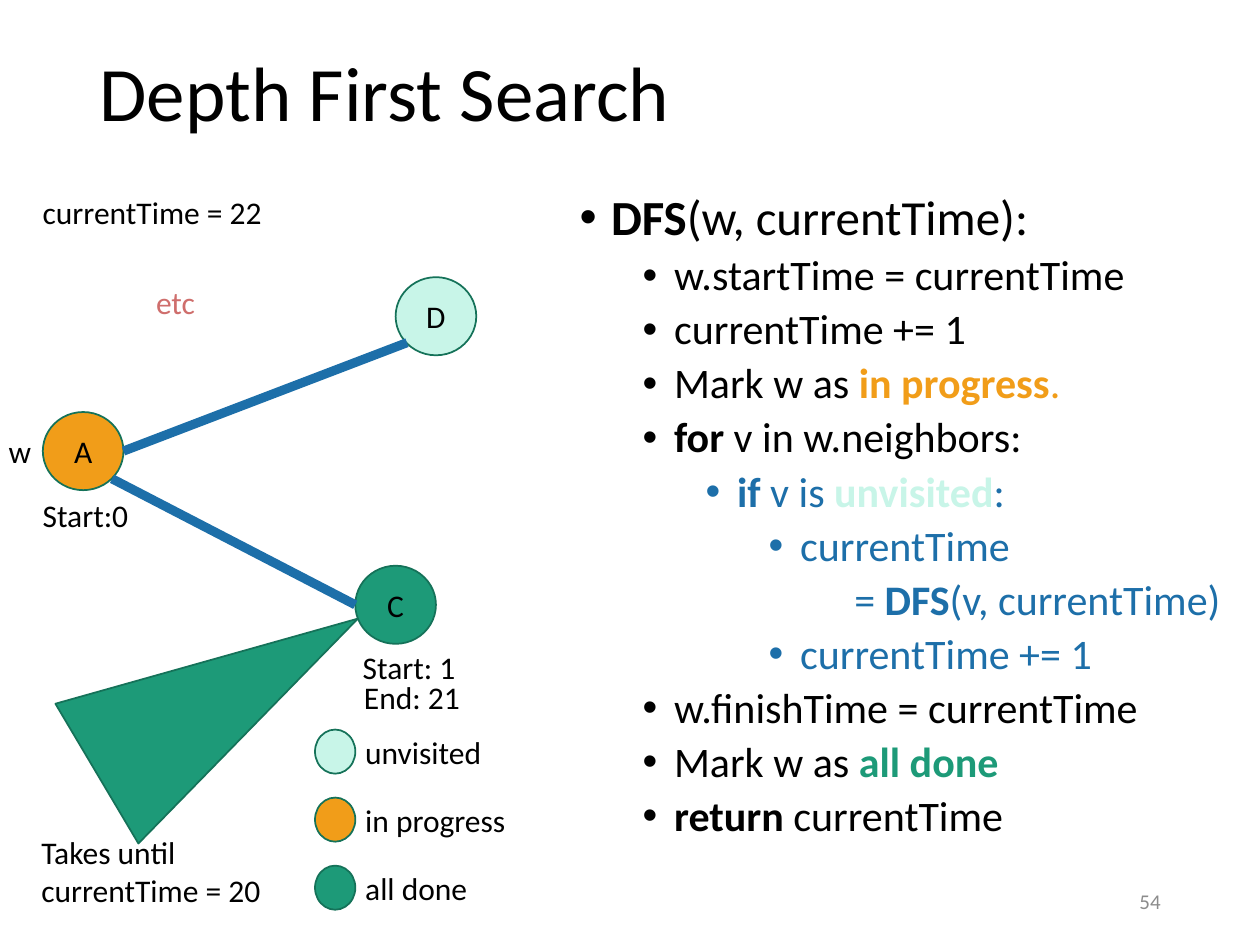
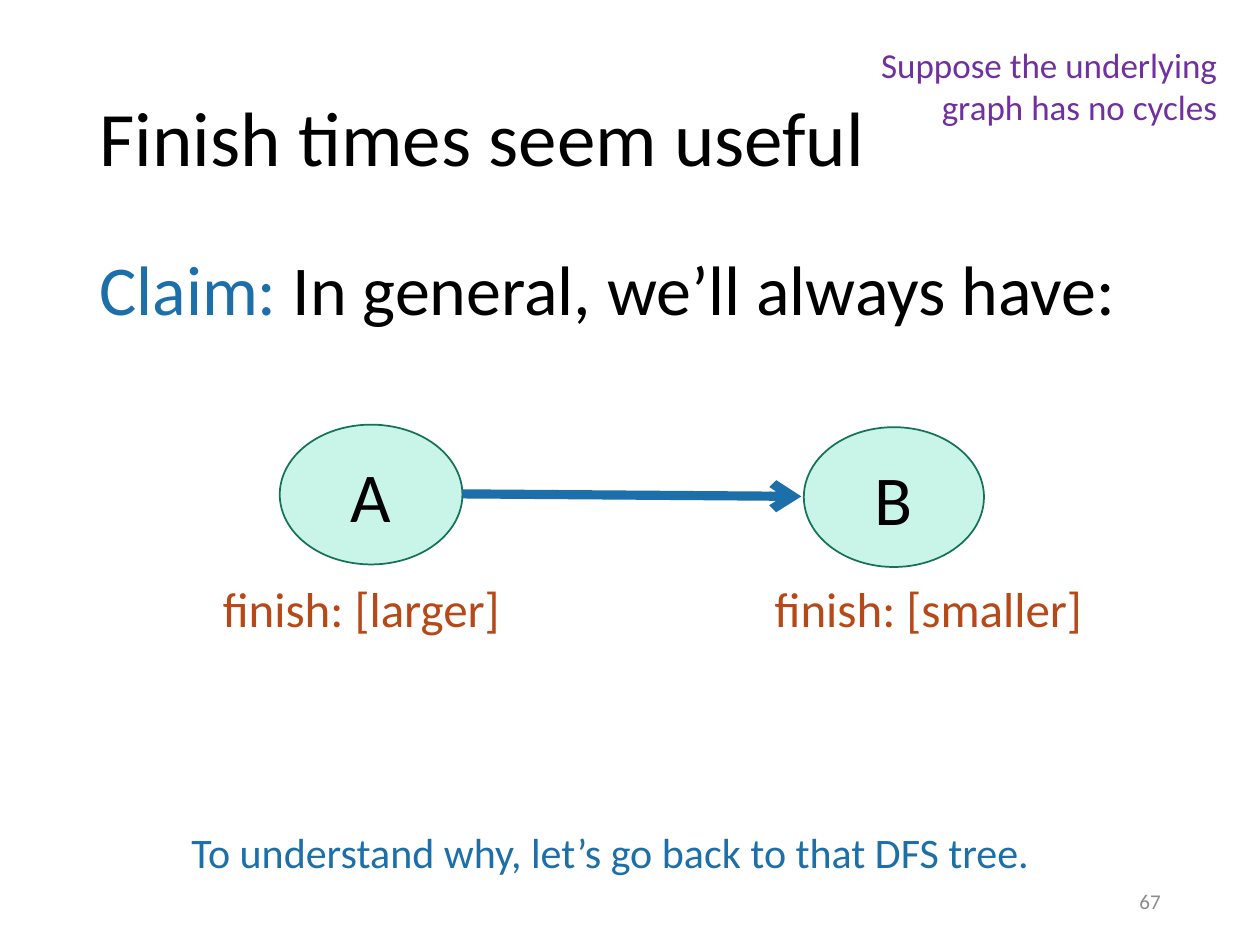
from pptx import Presentation
from pptx.dml.color import RGBColor
from pptx.enum.shapes import MSO_CONNECTOR, MSO_SHAPE
from pptx.enum.text import MSO_ANCHOR, MSO_AUTO_SIZE, PP_ALIGN
from pptx.oxml.ns import qn
from pptx.util import Inches, Pt
from lxml.etree import SubElement

FONT = "Calibri"
COLORS = {
    "black": "000000", "blue": "1D6FA9", "orange": "F19D19", "green": "1D9A78",
    "mint": "C8F5E8", "edge": "157259", "purple": "7030A0", "rust": "B74919",
    "pink": "CF6E6C", "gray": "8C8C8C", "dark gray": "767171", "aqua": "5AE0BB",
}
TITLE_BOX = (0.69, 0.4, 8.62, 1.45)
NUMBER_BOX = (7.06, 6.95, 2.25, 0.4)


def rgb(name):
    return RGBColor.from_string(COLORS[name])


def add_run(p, text, size=18, color="black", bold=False, outline=None):
    """Add formatted text to a paragraph; outline is (color, points)."""
    r = p.add_run()
    r.text = text
    r.font.name, r.font.size, r.font.bold = FONT, Pt(size), bold
    r.font.color.rgb = rgb(color)
    if outline:
        rPr = r.font._element
        ln = SubElement(rPr, qn("a:ln"), w=str(Pt(outline[1])))
        fill = SubElement(ln, qn("a:solidFill"))
        SubElement(fill, qn("a:srgbClr"), val=COLORS[outline[0]])
        rPr.insert(0, ln)


class Deck:
    """House style and the slide being built."""

    def __init__(self):
        self.prs = Presentation()
        self.prs.slide_width, self.prs.slide_height = Inches(10), Inches(7.5)
        self.s = None

    def slide(self, layout, title, number, bottom=0.05):
        self.s = self.prs.slides.add_slide(self.prs.slide_layouts[layout])
        tf = self.place(self.s.shapes.title, TITLE_BOX)
        tf.vertical_anchor = MSO_ANCHOR.MIDDLE
        tf.margin_bottom = Inches(bottom)
        p = tf.paragraphs[0]
        p.alignment, p.line_spacing = PP_ALIGN.LEFT, 0.9
        add_run(p, title, size=44)
        self.text(NUMBER_BOX, number, size=12, color="gray",
                  align=PP_ALIGN.RIGHT, anchor=MSO_ANCHOR.MIDDLE)

    def place(self, sp, box):
        sp.left, sp.top, sp.width, sp.height = map(Inches, box)
        sp.text_frame.auto_size = MSO_AUTO_SIZE.NONE
        return sp.text_frame

    def text(self, box, text, align=PP_ALIGN.LEFT, anchor=MSO_ANCHOR.TOP, **fmt):
        tf = self.s.shapes.add_textbox(*map(Inches, box)).text_frame
        tf.word_wrap, tf.vertical_anchor = True, anchor
        p = tf.paragraphs[0]
        p.alignment = align
        add_run(p, text, **fmt)
        return p

    def shape(self, kind, box, fill, label=None, size=18):
        sp = self.s.shapes.add_shape(kind, *map(Inches, box))
        sp.shadow.inherit = False
        sp.fill.solid()
        sp.fill.fore_color.rgb = rgb(fill)
        sp.line.color.rgb, sp.line.width = rgb("edge"), Pt(1)
        if label:
            tf = sp.text_frame
            tf.vertical_anchor = MSO_ANCHOR.MIDDLE
            tf.paragraphs[0].alignment = PP_ALIGN.CENTER
            add_run(tf.paragraphs[0], label, size=size)
        return sp

    def edge(self, start, end, arrow=False):
        sp = self.s.shapes.add_connector(
            MSO_CONNECTOR.STRAIGHT, *map(Inches, start + end))
        sp.line.color.rgb, sp.line.width = rgb("blue"), Pt(5.25)
        if arrow:
            SubElement(sp.line._get_or_add_ln(), qn("a:tailEnd"), type="arrow")
        SubElement(sp._element.spPr, qn("a:effectLst"))

    def code_list(self, box, lines):
        """Fill the body with (level, color, runs); a run is text or (text, format)."""
        tf = self.place(self.s.placeholders[1], box)
        for i, (level, color, runs) in enumerate(lines):
            p = tf.paragraphs[0] if i == 0 else tf.add_paragraph()
            pPr = p._p.get_or_add_pPr()
            continued = level is None
            pPr.set("marL", str(Inches(2.18 if continued else 0.25 + 0.5 * level)))
            pPr.set("indent", str(Inches(0 if continued else -0.25)))
            if continued:
                SubElement(pPr, qn("a:buNone"))
            else:
                SubElement(pPr, qn("a:buFont"), typeface="Arial")
                SubElement(pPr, qn("a:buChar"), char="•")
            p.level = 3 if continued else level
            p.alignment, p.line_spacing = PP_ALIGN.LEFT, 0.9
            p.space_before = Pt(5 if i else 0)
            for run in runs:
                text, fmt = (run, {}) if isinstance(run, str) else run
                add_run(p, text, **{"size": 24 if i else 28, "color": color, **fmt})


def depth_first_search(deck):
    deck.slide(1, "Depth First Search", "54", bottom=0.76)

    # Graph: edges, nodes and the finished subtree below C
    for node, x, y, fill in (("A", 0.34, 3.27, "orange"),
                             ("C", 2.82, 4.49, "green"),
                             ("D", 3.14, 2.2, "mint")):
        deck.shape(MSO_SHAPE.OVAL, (x, y, 0.64, 0.62), fill, node)
    deck.edge((0.89, 3.8), (2.82, 4.8))
    deck.edge((0.98, 3.58), (3.23, 2.72))
    subtree = deck.shape(MSO_SHAPE.ISOSCELES_TRIANGLE, (1.16, 4.32, 1.29, 2.41), "green")
    subtree.rotation = 59.3

    # Pseudocode
    bold = {"bold": True}
    deck.code_list((4.5, 1.48, 5.63, 5.44), [
        (0, "black", [("DFS", bold), "(w, currentTime):"]),
        (1, "black", ["w.startTime = currentTime"]),
        (1, "black", ["currentTime += 1"]),
        (1, "black", ["Mark w as ",
                      ("in progress", {"color": "orange", "bold": True,
                                       "outline": ("dark gray", 0.75)}),
                      (".", {"color": "orange"})]),
        (1, "black", [("for", bold), " v in w.neighbors:"]),
        (2, "blue", [("if ", bold), "v is ",
                     ("unvisited", {"color": "mint", "bold": True,
                                    "outline": ("aqua", 1.75)}), ":"]),
        (3, "blue", ["currentTime"]),
        (None, "blue", ["= ", ("DFS", bold), "(v, currentTime)"]),
        (3, "blue", ["currentTime += 1"]),
        (1, "black", ["w.finishTime = currentTime"]),
        (1, "black", ["Mark w as ",
                      ("all done", {"color": "green", "bold": True,
                                    "outline": ("green", 1.75)})]),
        (1, "black", [("return ", bold), "currentTime"]),
    ])

    # Legend
    for i, (state, fill) in enumerate((("unvisited", "mint"),
                                       ("in progress", "orange"),
                                       ("all done", "green"))):
        y = 5.79 + 0.54 * i
        deck.shape(MSO_SHAPE.OVAL, (2.5, y, 0.32, 0.35), fill)
        deck.text((2.8, y - 0.02, 2.22, 0.4), state)

    # Graph labels
    for x, y, w, h, label in ((0.24, 3.89, 0.9, 0.4, "Start:0"),
                              (2.78, 5.09, 1.68, 0.4, "Start: 1"),
                              (2.79, 5.33, 1.68, 0.4, "End: 21"),
                              (0.23, 6.56, 1.97, 0.71, "Takes until currentTime = 20"),
                              (0.24, 1.48, 2.55, 0.4, "currentTime = 22"),
                              (-0.03, 3.38, 0.67, 0.4, "w")):
        deck.text((x, y, w, h), label)
    deck.text((1.14, 2.2, 0.66, 0.4), "etc", color="pink")


def finish_times(deck):
    deck.slide(5, "Finish times seem useful", "67")

    # Claim and its assumption
    claim = deck.text((0.69, 1.9, 10.02, 2.12), "Claim:", size=40, color="blue")
    add_run(claim, " In general, we’ll always have:", size=40)
    deck.text((6.39, 0.3, 3.37, 0.77), "Suppose the underlying graph has no cycles",
              align=PP_ALIGN.RIGHT, size=20, color="purple")

    # Two nodes with their finish times
    deck.shape(MSO_SHAPE.OVAL, (2.22, 3.37, 1.45, 1.11), "mint", "A", size=40)
    deck.shape(MSO_SHAPE.OVAL, (6.38, 3.39, 1.43, 1.11), "mint", "B", size=40)
    deck.edge((3.67, 3.92), (6.36, 3.94), arrow=True)
    for x, label in ((1.67, "finish: [larger]"), (6.05, "finish: [smaller]")):
        deck.text((x, 4.54, 2.9, 0.57), label, size=28, color="rust")

    deck.text((1.42, 6.51, 7.59, 0.5),
              "To understand why, let’s go back to that DFS tree.",
              size=24, color="blue")


def main():
    deck = Deck()
    depth_first_search(deck)
    finish_times(deck)
    deck.prs.save("out.pptx")


if __name__ == "__main__":
    main()
